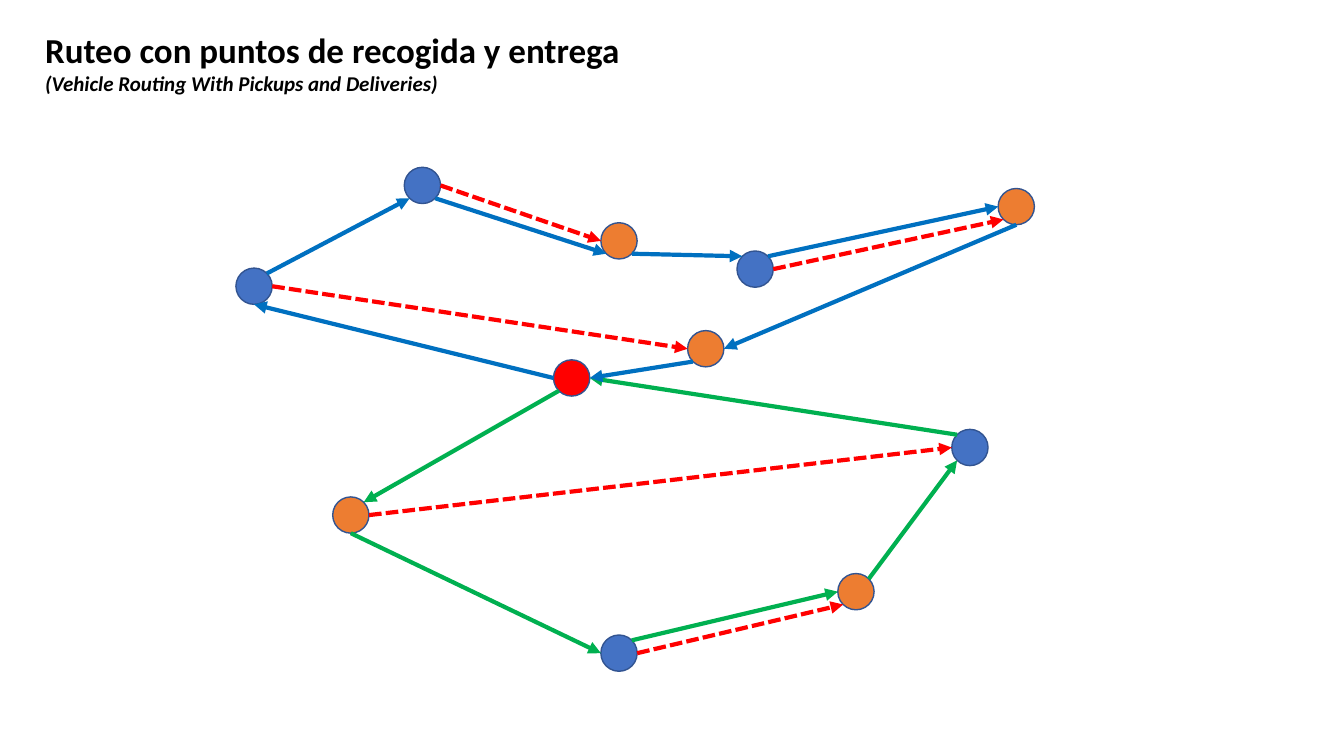
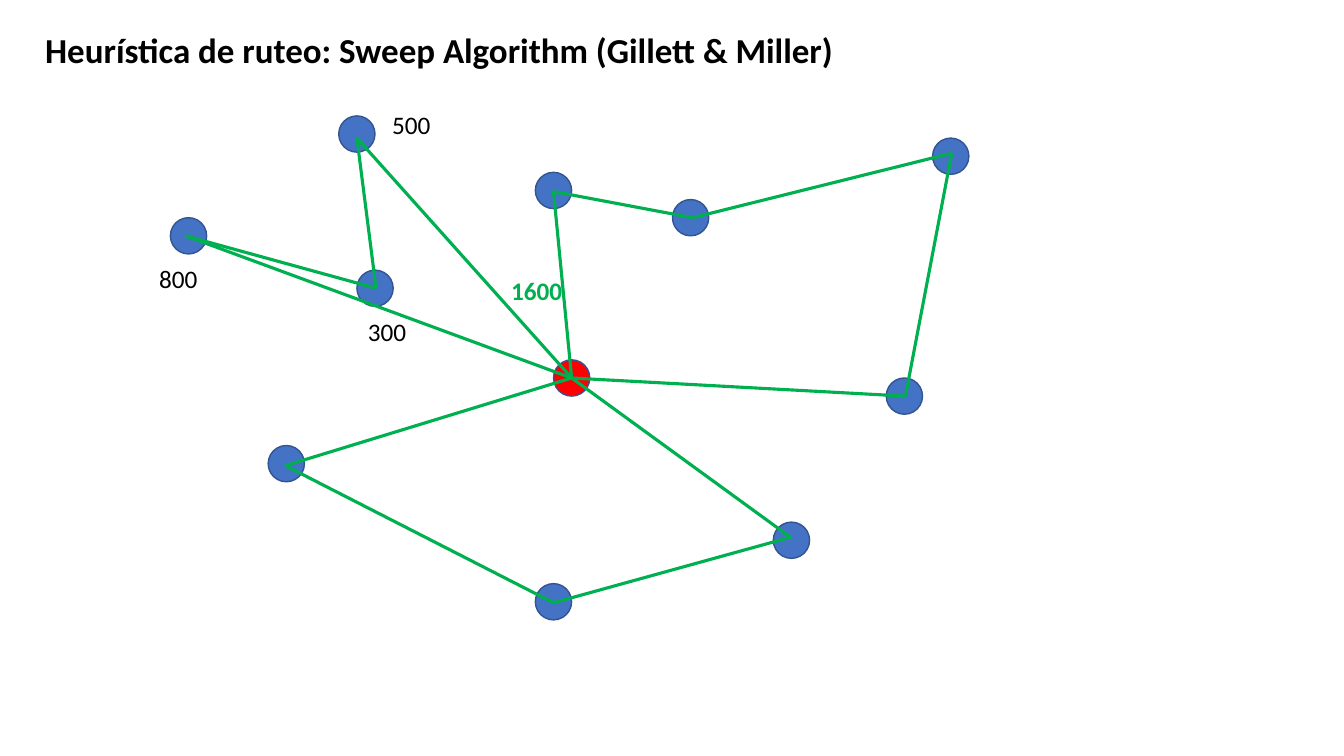
from math import sqrt

from pptx import Presentation
from pptx import util as u
from pptx.dml.color import RGBColor
from pptx.enum import dml, shapes, text
from pptx.oxml.ns import qn
from lxml import etree

BLACK, RED, GREEN, ROUTE_BLUE = "000000", "FF0000", "00B050", "0070C0"
PICKUP, DELIVERY, OUTLINE = "4472C4", "ED7D31", "325491"
DIAMETER = 0.36


def paint(target, colour):
    if hasattr(target, "solid"):
        target.solid()
        target = target.fore_color
    else:
        target = target.color
    target.rgb = RGBColor.from_string(colour)


def write(slide, left, top, width, height, lines, colour=BLACK):
    box = slide.shapes.add_textbox(*map(u.Inches, (left, top, width, height)))
    frame = box.text_frame
    frame.word_wrap = False
    frame.auto_size = text.MSO_AUTO_SIZE.SHAPE_TO_FIT_TEXT
    frame.text = "\n".join(line for line, size, bold, italic in lines)
    for paragraph, (line, size, bold, italic) in zip(frame.paragraphs, lines):
        font = paragraph.runs[0].font
        font.name, font.size = "Calibri", u.Pt(size)
        font.bold, font.italic = bold, italic
        paint(font, colour)


depot = (5.67, 3.75)
stops = {
    "depot": (depot, RED),
    "p1": ((4.19, 1.84), PICKUP),
    "p2": ((2.52, 2.84), PICKUP),
    "p3": ((7.49, 2.67), PICKUP),
    "p4": ((6.14, 6.48), PICKUP),
    "p5": ((9.62, 4.44), PICKUP),
    "d1": ((6.14, 2.39), DELIVERY),
    "d2": ((7.0, 3.46), DELIVERY),
    "d3": ((10.08, 2.05), DELIVERY),
    "d4": ((8.49, 5.87), DELIVERY),
    "d5": ((3.48, 5.11), DELIVERY),
}
legs = {
    RED: ["p1 e d1 w", "p4 e d4 sw", "p3 e d3 sw", "d5 e p5 w", "p2 e d2 w"],
    GREEN: ["depot sw d5 ne", "d5 s p4 w", "p4 ne d4 w", "d4 ne p5 sw",
            "p5 nw depot e"],
    ROUTE_BLUE: ["depot w p2 s", "p2 ne p1 sw", "p1 se d1 sw", "d1 se p3 nw",
                 "p3 ne d3 w", "d3 s d2 e", "d2 sw depot e"],
}
compass = {"n": (0, -1), "s": (0, 1), "e": (1, 0), "w": (-1, 0),
           "ne": (1, -1), "nw": (-1, -1), "se": (1, 1), "sw": (-1, 1)}

delivery_links = []
for colour, colour_legs in legs.items():
    for leg in colour_legs:
        start, start_side, end, end_side = leg.split()
        ends = []
        for stop, side in ((start, start_side), (end, end_side)):
            (x, y), stop_colour = stops[stop]
            dx, dy = compass[side]
            reach = DIAMETER / 2 / sqrt(dx * dx + dy * dy)
            ends.append((x + dx * reach, y + dy * reach))
        delivery_links.append((*ends, colour))

customers = [(3.54, 1.33), (1.87, 2.34), (3.72, 2.86), (6.85, 2.16),
             (2.84, 4.6), (5.49, 5.97), (8.97, 3.93), (9.43, 1.55),
             (7.85, 5.36), (5.49, 1.89)]
sweep_routes = [
    [(3.54, 1.37), (3.73, 2.86), (1.84, 2.34)],
    [(2.83, 4.62), (5.49, 5.98), (7.84, 5.33)],
    [(5.49, 1.9), (6.87, 2.16), (9.44, 1.52), (8.98, 3.93)],
]
sweep_links = []
for route in sweep_routes:
    tour = [depot, *route, depot]
    sweep_links += [(start, end, GREEN) for start, end in zip(tour, tour[1:])]

demands = [(3.79, 1.04, "500"), (3.55, 3.09, "300"), (1.48, 2.56, "800")]

pages = [
    {
        "title": [("Ruteo con puntos de recogida y entrega", 25, True, False),
                  ("(Vehicle Routing With Pickups and Deliveries)", 15, True, True)],
        "title_size": (5.96, 0.77),
        "nodes": list(stops.values()),
        "labels": [],
        "links": delivery_links,
        "weight": 3,
        "arrows": True,
    },
    {
        "title": [("Heurística de ruteo: Sweep Algorithm (Gillett & Miller)",
                   25, True, False)],
        "title_size": (8.18, 0.52),
        "nodes": [(depot, RED)] + [(place, PICKUP) for place in customers],
        "labels": [(x, y, 0.59, 0.4, [(demand, 18, False, False)], BLACK)
                   for x, y, demand in demands]
                  + [(4.97, 2.68, 0.71, 0.4, [("1600", 18, True, False)], GREEN)],
        "links": sweep_links,
        "weight": 2.25,
        "arrows": False,
    },
]

deck = Presentation()
deck.slide_width, deck.slide_height = u.Inches(13.33), u.Inches(7.5)

for page in pages:
    slide = deck.slides.add_slide(deck.slide_layouts[6])
    write(slide, 0.35, 0.23, *page["title_size"], page["title"])

    for (x, y), colour in page["nodes"]:
        node = slide.shapes.add_shape(
            shapes.MSO_SHAPE.OVAL,
            u.Inches(x - DIAMETER / 2), u.Inches(y - DIAMETER / 2),
            u.Inches(DIAMETER), u.Inches(DIAMETER))
        node.shadow.inherit = False
        paint(node.fill, colour)
        paint(node.line, OUTLINE)
        node.line.width = u.Pt(1)

    for label in page["labels"]:
        write(slide, *label)

    for start, end, colour in page["links"]:
        link = slide.shapes.add_connector(
            shapes.MSO_CONNECTOR.STRAIGHT, *map(u.Inches, (*start, *end)))
        paint(link.line, colour)
        link.line.width = u.Pt(page["weight"])
        if colour == RED:
            link.line.dash_style = dml.MSO_LINE.SQUARE_DOT
        if page["arrows"]:
            outline = link.line.fill._xPr
            etree.SubElement(outline, qn("a:tailEnd"), type="triangle")
        etree.SubElement(link._element.spPr, qn("a:effectLst"))

deck.save("out.pptx")
